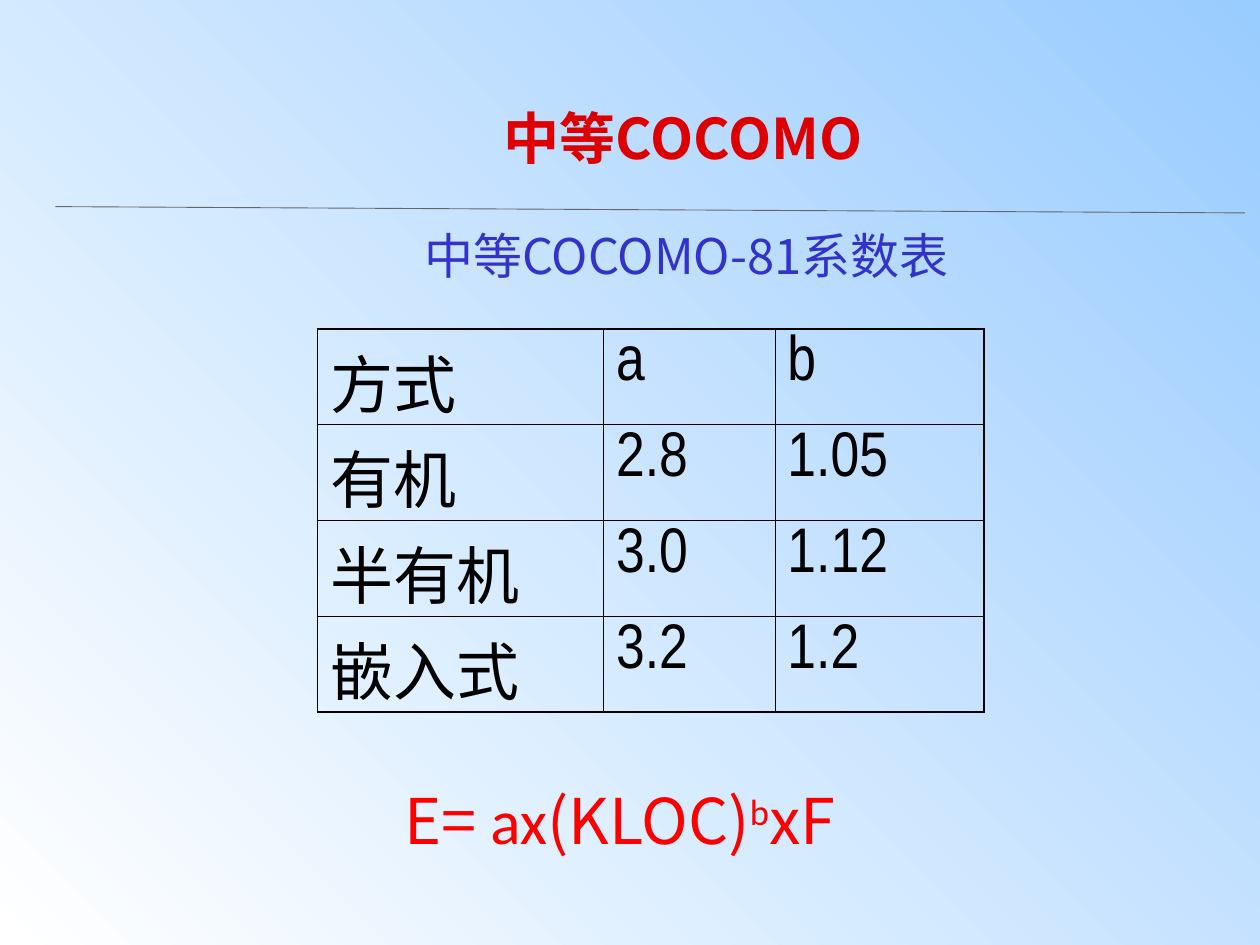
from lxml.etree import SubElement
from pptx import Presentation
from pptx.dml.color import RGBColor
from pptx.enum.shapes import MSO_CONNECTOR
from pptx.enum.text import MSO_AUTO_SIZE
from pptx.oxml.ns import qn
from pptx.util import Inches, Pt

SKY = RGBColor(0x99, 0xCC, 0xFF)
WHITE = RGBColor(0xFF, 0xFF, 0xFF)
GRAY = RGBColor(0x66, 0x66, 0x66)
BLACK = RGBColor(0, 0, 0)
BLUE = RGBColor(0x33, 0x33, 0xCC)
RED = RGBColor(0xFF, 0, 0)
DARK_RED = RGBColor(0xDE, 0, 0)

CJK = "Noto Sans CJK SC"
LATIN = "Calibri"
NARROW = "Arial Narrow"
THICK, THIN = Pt(1.08), Pt(0.45)


class SlideBuilder:
    def __init__(self, prs):
        self.s = prs.slides.add_slide(prs.slide_layouts[6])

    def background(self, start, end, angle):
        fill = self.s.background.fill
        fill.gradient()
        fill.gradient_angle = angle
        for stop, color in zip(fill.gradient_stops, (start, end)):
            stop.color.rgb = color

    def style(self, r, size, color, font, bold=False):
        r.font.size = Pt(size)
        r.font.bold = bold
        r.font.color.rgb = color
        r.font.name = font
        SubElement(r.font._element, qn("a:ea"), typeface=CJK)

    def line(self, x1, y1, x2, y2, color, width):
        c = self.s.shapes.add_connector(
            MSO_CONNECTOR.STRAIGHT, Inches(x1), Inches(y1), Inches(x2), Inches(y2))
        c.line.color.rgb = color
        c.line.width = Pt(width)
        SubElement(c._element.spPr, qn("a:effectLst"))

    def text(self, x, y, w, h, runs, size, color, bold=False):
        """Add a one-paragraph box from (text, font) runs and return its paragraph."""
        sp = self.s.shapes.add_textbox(Inches(x), Inches(y), Inches(w), Inches(h))
        tf = sp.text_frame
        tf.word_wrap = True
        tf.auto_size = MSO_AUTO_SIZE.SHAPE_TO_FIT_TEXT
        p = tf.paragraphs[0]
        for text, font in runs:
            r = p.add_run()
            r.text = text
            self.style(r, size, color, font, bold)
        return p

    def border(self, cell, widths):
        """Draw the left, right, top and bottom edges of a cell."""
        tc_pr = cell._tc.get_or_add_tcPr()
        for side, width in zip("LRTB", widths):
            ln = SubElement(tc_pr, qn(f"a:ln{side}"), w=str(width))
            fill = SubElement(ln, qn("a:solidFill"))
            SubElement(fill, qn("a:srgbClr"), val=str(BLACK))

    def table(self, x, y, col_widths, row_height, rows, size):
        n_rows, n_cols = len(rows), len(col_widths)
        table = self.s.shapes.add_table(
            n_rows, n_cols, Inches(x), Inches(y),
            Inches(sum(col_widths)), Inches(row_height * n_rows)).table
        table.first_row = table.horz_banding = False
        for col, width in zip(table.columns, col_widths):
            col.width = Inches(width)
        for i, row in enumerate(rows):
            for j, text in enumerate(row):
                cell = table.cell(i, j)
                outer = (j == 0, j == n_cols - 1, i == 0, i == n_rows - 1)
                self.border(cell, [THICK if edge else THIN for edge in outer])
                cell.fill.background()
                p = cell.text_frame.paragraphs[0]
                p.text = text
                p.space_before = Pt(9)
                self.style(p.runs[0], size, BLACK, NARROW)


def main():
    prs = Presentation()
    prs.slide_width, prs.slide_height = Inches(10), Inches(7.5)
    b = SlideBuilder(prs)
    b.background(SKY, WHITE, 225)
    b.line(0.44, 1.64, 9.88, 1.69, GRAY, 0.5)
    b.text(3.27, 1.74, 4.72, 0.57, [("中等COCOMO-81系数表", CJK)], 28, BLUE)

    formula = b.text(
        3.11, 5.85, 5.67, 1,
        [("E= ", CJK), ("ax", LATIN), ("(KLOC)", CJK), ("b", LATIN), ("xF", CJK)],
        36, RED)
    formula.line_spacing = 1.5
    formula.space_before = Pt(7)
    exponent = formula.runs[3]
    exponent.font._element.set("baseline", "30000")

    b.table(2.52, 2.61, [2.27, 1.36, 1.66], 0.76, [
        ("方式", "a", "b"),
        ("有机", "2.8", "1.05"),
        ("半有机", "3.0", "1.12"),
        ("嵌入式", "3.2", "1.2"),
    ], 36)
    b.text(3.9, 0.77, 4.65, 0.64, [("中等COCOMO", CJK)], 32, DARK_RED, bold=True)
    prs.save("out.pptx")


if __name__ == "__main__":
    main()
